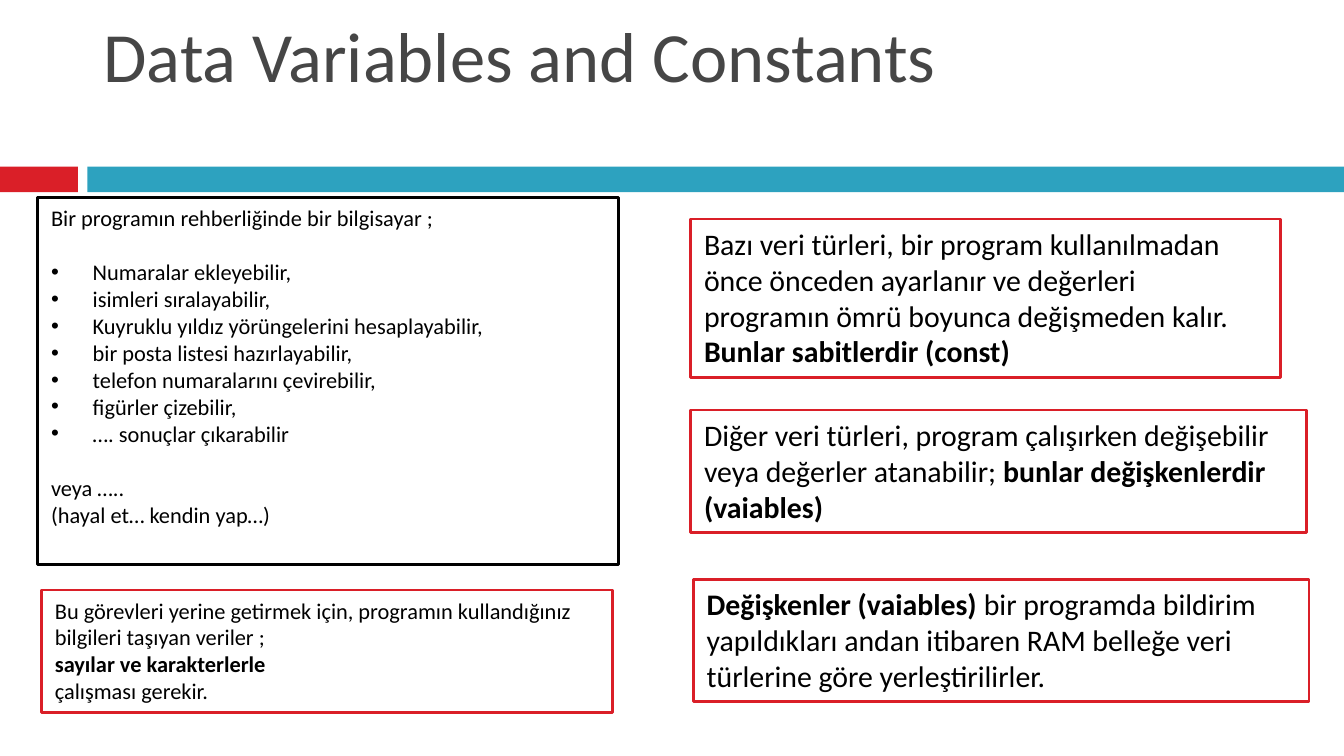
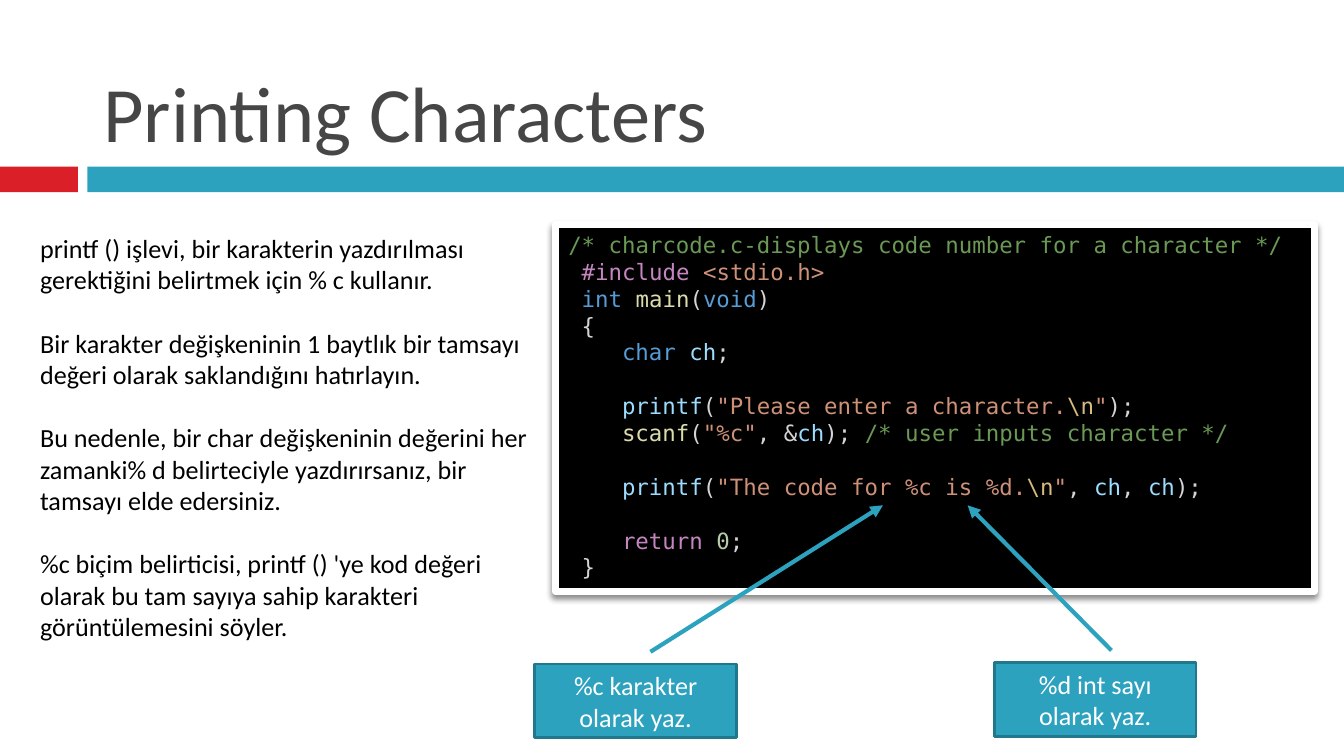
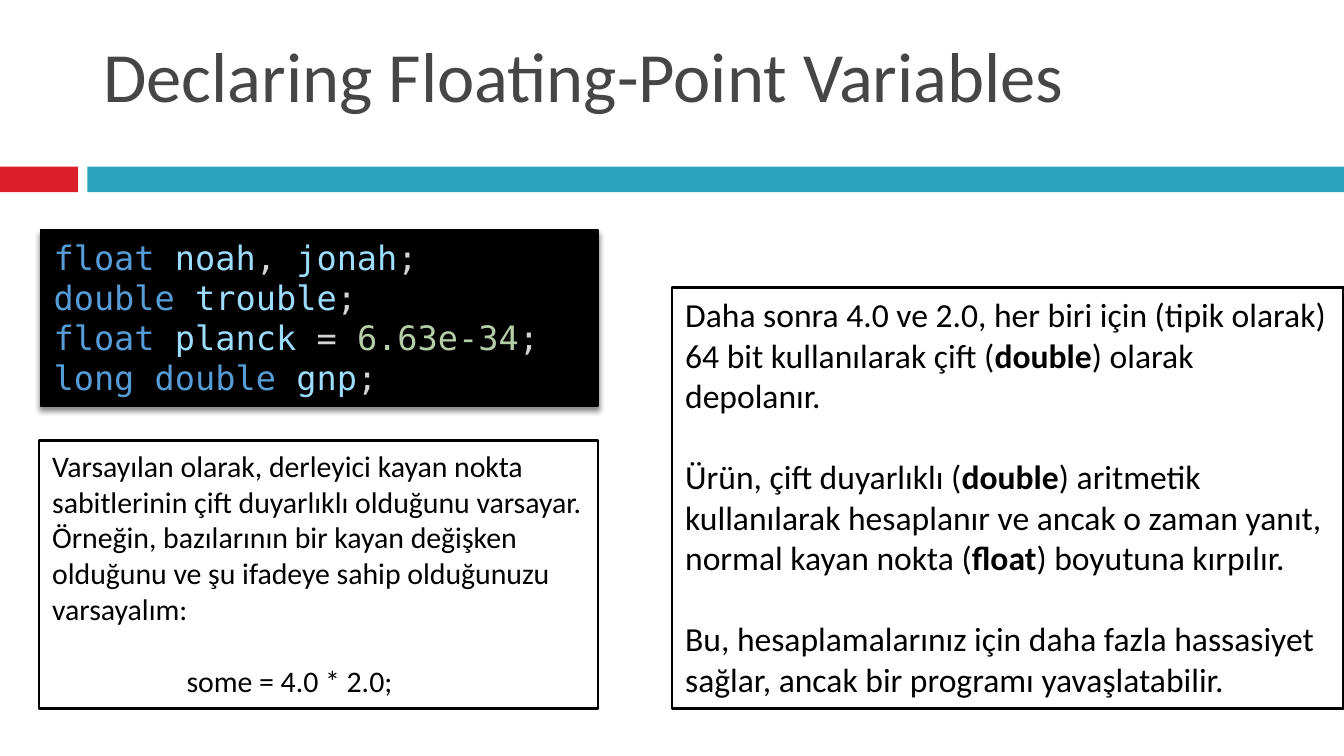
"""Build three C lesson slides on data, characters and floating-point variables."""
from dataclasses import dataclass

from lxml.etree import SubElement
from pptx import Presentation
from pptx.dml.color import RGBColor
from pptx.enum.shapes import MSO_CONNECTOR, MSO_SHAPE
from pptx.enum.text import MSO_ANCHOR, MSO_AUTO_SIZE, PP_ALIGN
from pptx.oxml.ns import qn
from pptx.util import Inches, Pt

THEME = {
    "red": "DA1F28", "teal": "2DA2BF", "edge": "21788D", "gray": "464646",
    "ink": "000000", "bold": "000000", "white": "FFFFFF",
    "note": "6A9955", "word": "569CD6", "flow": "C586C0", "text": "CE9178",
    "mark": "D4D4D4", "call": "DCDCAA", "name": "9CDCFE", "slash": "D7BA7D",
    "num": "B5CEA8",
    "sans": ("Calibri", 1.22), "mono": ("DejaVu Sans Mono", 1.2),
    "small": 12, "mid": 14, "large": 16, "huge": 18, "head": 37.8, "top": 42,
}
STYLES = {
    "list": {"fill": "white", "line": "ink", "width": 1.5},
    "plain": {},
    "box": {"fill": "white", "line": "ink", "width": 1.5},
    "alert": {"fill": "white", "line": "red", "width": 1.5},
    "frame": {"fill": "ink", "line": "white", "width": 3.75, "font": "mono", "shade": True},
    "code": {"fill": "ink", "line": "ink", "width": 0.79, "font": "mono", "shade": True},
    "tag": {"fill": "teal", "line": "edge", "width": 1.5,
            "align": PP_ALIGN.CENTER, "anchor": MSO_ANCHOR.MIDDLE},
}
BANDS = [("red", (0, 1.24, 0.58, 0.19)), ("teal", (0.65, 1.24, 9.35, 0.19))]


@dataclass
class Para:
    """A paragraph: toned runs, blank lines above, left indent and bullet."""
    runs: list
    gap: int = 0
    left: float = 0
    dot: bool = False


def say(text, gap=0, left=0, dot=False, tone="ink"):
    """Return a paragraph of one run."""
    return Para([(tone, text)], gap, left, dot)


TASKS = ["Numaralar ekleyebilir,", "isimleri sıralayabilir,",
         "Kuyruklu yıldız yörüngelerini hesaplayabilir,",
         "bir posta listesi hazırlayabilir,", "telefon numaralarını çevirebilir,",
         "figürler çizebilir,", "…. sonuçlar çıkarabilir"]

PRINT = [
    say("/* charcode.c-displays code number for a character */", tone="note"),
    Para([("flow", "#include "), ("text", "<stdio.h>")], left=0.1),
    Para([("word", "int "), ("call", "main"), ("mark", "("), ("word", "void"),
          ("mark", ")")], left=0.1),
    say("{", left=0.1, tone="mark"),
    Para([("word", "char "), ("name", "ch"), ("mark", ";")], left=0.4),
    Para([("name", "printf"), ("mark", "("), ("text", '"Please enter a character.'),
          ("slash", "\\n"), ("text", '"'), ("mark", ");")], 1, 0.4),
    Para([("call", "scanf"), ("mark", "("), ("text", '"%c"'), ("mark", ", &"),
          ("name", "ch"), ("mark", ");"), ("note", " /* user inputs character */")],
         left=0.4),
    Para([("name", "printf"), ("mark", "("), ("text", '"The code for %c is %d.'),
          ("slash", "\\n"), ("text", '"'), ("mark", ", "), ("name", "ch"),
          ("mark", ", "), ("name", "ch"), ("mark", ");")], 1, 0.4),
    Para([("flow", "return "), ("num", "0"), ("mark", ";")], 1, 0.4),
    say("}", left=0.1, tone="mark"),
]
FLOATS = [
    Para([("word", "float "), ("name", "noah"), ("mark", ", "), ("name", "jonah"),
          ("mark", ";")]),
    Para([("word", "double "), ("name", "trouble"), ("mark", ";")]),
    Para([("word", "float "), ("name", "planck"), ("mark", " = "),
          ("num", "6.63e-34"), ("mark", ";")]),
    Para([("word", "long double "), ("name", "gnp"), ("mark", ";")]),
]

SLIDES = [
    {"title": "Data Variables and Constants", "size": "head", "tall": 0.64, "parts": [
        ("list", (0.28, 1.47, 4.32, 2.73), "small", [
            say("Bir programın rehberliğinde bir bilgisayar ;"),
            *[say(task, int(i == 0), 0.31, True) for i, task in enumerate(TASKS)],
            say("veya …..", 1),
            say("(hayal et… kendin yap…)")]),
        ("alert", (0.31, 4.39, 4.25, 0.91), "small", [
            say("Bu görevleri yerine getirmek için, programın kullandığınız "
                "bilgileri taşıyan veriler ;"),
            say("sayılar ve karakterlerle", tone="bold"),
            say("çalışması gerekir.")]),
        ("alert", (5.14, 1.63, 4.39, 1.18), "large", [
            say("Bazı veri türleri, bir program kullanılmadan önce önceden ayarlanır "
                "ve değerleri programın ömrü boyunca değişmeden kalır."),
            say("Bunlar sabitlerdir (const)", tone="bold")]),
        ("alert", (5.14, 3.05, 4.58, 0.91), "large", [
            Para([("ink", "Diğer veri türleri, program çalışırken değişebilir veya "
                          "değerler atanabilir;"),
                  ("bold", " bunlar değişkenlerdir (vaiables)")])]),
        ("alert", (5.16, 4.31, 4.58, 0.91), "large", [
            Para([("bold", "Değişkenler (vaiables) "),
                  ("ink", "bir programda bildirim yapıldıkları andan itibaren RAM "
                          "belleğe veri türlerine göre yerleştirilirler.")])]),
    ]},
    {"title": "Printing Characters", "size": "top", "tall": 1.1, "parts": [
        ("plain", (0.2, 1.68, 3.94, 3.16), "mid", [
            say("printf () işlevi, bir karakterin yazdırılması gerektiğini belirtmek "
                "için % c kullanır."),
            say("Bir karakter değişkeninin 1 baytlık bir tamsayı değeri olarak "
                "saklandığını hatırlayın.", 1),
            say("Bu nedenle, bir char değişkeninin değerini her zamanki% d "
                "belirteciyle yazdırırsanız, bir tamsayı elde edersiniz.", 1),
            say("%c biçim belirticisi, printf () 'ye kod değeri olarak bu tam sayıya "
                "sahip karakteri görüntülemesini söyler.", 1)]),
        ("frame", (4.13, 1.67, 5.65, 2.73), "small", PRINT),
        ("tag", (3.98, 4.94, 1.5, 0.55), "mid",
         [say("%c karakter olarak yaz.", tone="white")]),
        ("tag", (7.4, 4.93, 1.5, 0.55), "mid",
         [say("%d int sayı olarak yaz.", tone="white")]),
    ], "arrows": [(4.84, 4.85, 6.57, 3.76), (8.27, 4.84, 7.2, 3.76)]},
    {"title": "Declaring Floating-Point Variables", "size": "head", "tall": 0.79, "parts": [
        ("code", (0.3, 1.71, 4.15, 1.31), "huge", FLOATS),
        ("box", (0.29, 3.28, 4.16, 1.99), "large", [
            say("Varsayılan olarak, derleyici kayan nokta sabitlerinin çift duyarlıklı "
                "olduğunu varsayar. Örneğin, bazılarının bir kayan değişken olduğunu "
                "ve şu ifadeye sahip olduğunuzu varsayalım:"),
            say("some = 4.0 * 2.0;", 1, 1)]),
        ("box", (5, 2.14, 5, 3.13), "huge", [
            Para([("ink", "Daha sonra 4.0 ve 2.0, her biri için (tipik olarak) 64 bit "
                          "kullanılarak çift ("),
                  ("bold", "double"), ("ink", ") olarak depolanır.")]),
            Para([("ink", "Ürün, çift duyarlıklı ("), ("bold", "double"),
                  ("ink", ") aritmetik kullanılarak hesaplanır ve ancak o zaman yanıt, "
                          "normal kayan nokta ("),
                  ("bold", "float"), ("ink", ") boyutuna kırpılır.")], 1),
            say("Bu, hesaplamalarınız için daha fazla hassasiyet sağlar, ancak bir "
                "programı yavaşlatabilir.", 1)]),
    ]},
]


def put(item, **values):
    """Set each named attribute of an object."""
    for key, value in values.items():
        setattr(item, key, value)


def tint(name):
    """Return a theme colour."""
    return RGBColor.from_string(THEME[name])


def place(shape, spot):
    """Move and size a shape in inches."""
    put(shape, **dict(zip(("left", "top", "width", "height"), map(Inches, spot))))


def paint(shape, fill=None, line=None, width=1):
    """Fill and outline a shape."""
    if fill:
        shape.fill.solid()
        shape.fill.fore_color.rgb = tint(fill)
    if line:
        shape.line.color.rgb = tint(line)
        shape.line.width = Pt(width)
    else:
        shape.line.fill.background()


def shade(shape):
    """Drop a soft shadow below a shape."""
    glow = SubElement(shape._element.spPr.find(qn("a:effectLst")), qn("a:outerShdw"),
                      blurRad=str(Pt(3)), dist=str(Pt(2.4)), dir="5400000", rotWithShape="0")
    tone = SubElement(glow, qn("a:srgbClr"), val=THEME["ink"])
    SubElement(tone, qn("a:alpha"), val="45000")


def write(shape, paras, size, font="sans", align=PP_ALIGN.LEFT, anchor=MSO_ANCHOR.TOP):
    """Write toned paragraphs into a shape."""
    frame = shape.text_frame
    put(frame, word_wrap=True, auto_size=MSO_AUTO_SIZE.NONE, vertical_anchor=anchor)
    face, ratio = THEME[font]
    points = THEME[size]
    for i, para in enumerate(paras):
        line = frame.add_paragraph() if i else frame.paragraphs[0]
        put(line, alignment=align, space_before=Pt(round(para.gap * points * ratio, 1)))
        prop = line._p.get_or_add_pPr()
        left = Inches(para.left)
        prop.set("marL", str(left))
        prop.set("indent", str(-left if para.dot else 0))
        if para.dot:
            SubElement(prop, qn("a:buChar"), char="•")
        else:
            SubElement(prop, qn("a:buNone"))
        for tone, text in para.runs:
            run = line.add_run()
            run.text = text
            put(run.font, name=face, size=Pt(points), bold=tone == "bold")
            run.font.color.rgb = tint(tone)


def block(slide, spot):
    """Add a flat rectangle."""
    shape = slide.shapes.add_shape(MSO_SHAPE.RECTANGLE, *map(Inches, spot))
    shape.shadow.inherit = False
    return shape


def part(slide, kind, spot, size, paras):
    """Add one styled block of text."""
    style = dict(STYLES[kind])
    if kind == "list":
        shape = slide.placeholders[1]
        place(shape, spot)
    elif kind == "plain":
        shape = slide.shapes.add_textbox(*map(Inches, spot))
    else:
        shape = block(slide, spot)
    if style.pop("shade", False):
        shade(shape)
    paint(shape, *(style.pop(key, None) for key in ("fill", "line", "width")))
    write(shape, paras, size, **style)


def arrow(slide, ends):
    """Add an arrow between two points."""
    line = slide.shapes.add_connector(MSO_CONNECTOR.STRAIGHT, *map(Inches, ends))
    line.line.color.rgb = tint("teal")
    line.line.width = Pt(2.25)
    SubElement(line.line._get_or_add_ln(), qn("a:tailEnd"), type="triangle")
    SubElement(line._element.spPr, qn("a:effectLst"))


def brand(deck, slide):
    """Draw the bands and move them to the master."""
    for tone, spot in BANDS:
        band = block(slide, spot)
        paint(band, tone)
        deck.slide_master.shapes._spTree.append(band._element)


def main():
    """Build and save the deck."""
    deck = Presentation()
    wide = Inches(10)
    put(deck, slide_width=wide, slide_height=wide * 9 // 16)
    for page in SLIDES:
        listed = any(item[0] == "list" for item in page["parts"])
        slide = deck.slides.add_slide(deck.slide_layouts[1 if listed else 5])
        if len(deck.slides) == 1:
            brand(deck, slide)
        title = slide.shapes.title
        place(title, (0.67, 0.13, 8.92, page["tall"]))
        write(title, [say(page["title"], tone="gray")], page["size"],
              anchor=MSO_ANCHOR.BOTTOM)
        for item in page["parts"]:
            part(slide, *item)
        for ends in page.get("arrows", []):
            arrow(slide, ends)
    deck.save("out.pptx")


if __name__ == "__main__":
    main()
